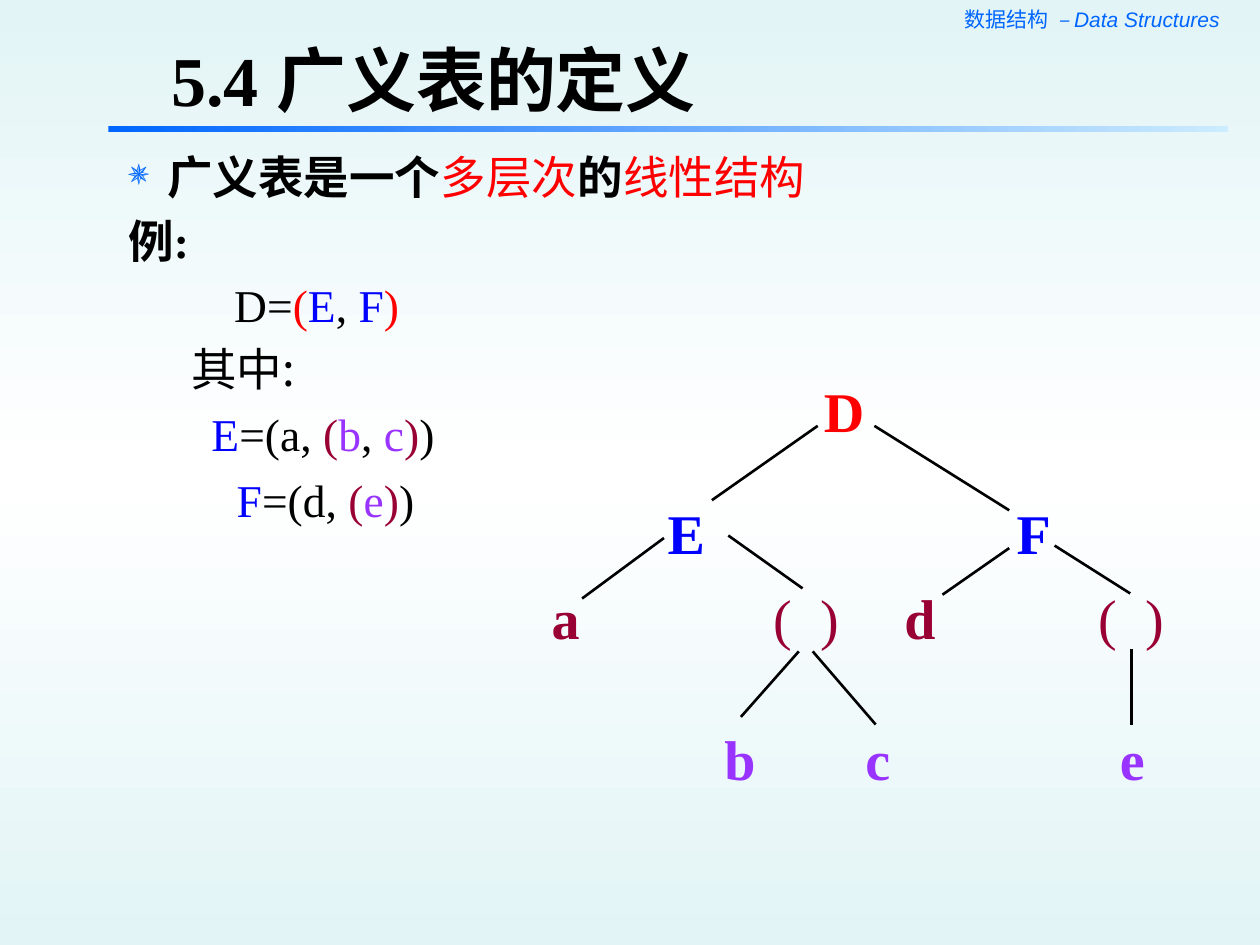
import pptx
import pptx.util
import pptx.dml.color
import pptx.enum.shapes
import pptx.enum.text
import pptx.oxml.ns
import copy
from lxml import etree

RGB = pptx.dml.color.RGBColor
BLACK = RGB(0x00, 0x00, 0x00)
RED = RGB(0xFF, 0x00, 0x00)
BLUE = RGB(0x00, 0x00, 0xFF)
MAROON = RGB(0x99, 0x00, 0x33)
VIOLET = RGB(0x99, 0x33, 0xFF)
ACCENT = RGB(0x00, 0x66, 0xFF)
PALE_BLUE = RGB(0xCC, 0xEC, 0xFF)
MINT = RGB(0xE2, 0xF4, 0xF6)
WHITE = RGB(0xFF, 0xFF, 0xFF)

SERIF, SANS, CJK = "Times New Roman", "Arial", "Noto Sans CJK SC"
LEFT, RIGHT = pptx.enum.text.PP_ALIGN.LEFT, pptx.enum.text.PP_ALIGN.RIGHT
TOP, MIDDLE = pptx.enum.text.MSO_ANCHOR.TOP, pptx.enum.text.MSO_ANCHOR.MIDDLE
qn = pptx.oxml.ns.qn


def add_text(p, text, size=26, color=BLACK, font=SERIF, bold=False, italic=False):
    r = p.add_run()
    r.text = text
    f = r.font
    f.size, f.name, f.bold, f.italic = pptx.util.Pt(size), font, bold, italic
    f.color.rgb = color
    ea = etree.SubElement(r._r.get_or_add_rPr(), qn("a:ea"))
    ea.set("typeface", CJK)


class Deck:
    """Current slide and style, on a grid of 100 columns by 75 rows."""

    def __init__(self):
        self.prs = pptx.Presentation()
        self.prs.slide_width = pptx.util.Inches(10)
        self.prs.slide_height = pptx.util.Inches(7.5)
        self.cell = self.prs.slide_width / 100
        self.s = self.prs.slides.add_slide(self.prs.slide_layouts[5])

    def grid(self, *units):
        return [round(u * self.cell) for u in units]

    def gradient(self, fill, colors, angle):
        fill.gradient()
        fill.gradient_angle = angle
        stops = fill.gradient_stops
        if len(colors) == 3:
            first = stops[0]._gs
            first.addnext(copy.deepcopy(first))
            stops = fill.gradient_stops
        for i, (stop, color) in enumerate(zip(stops, colors)):
            stop.color.rgb = color
            stop.position = i / (len(colors) - 1)

    def frame(self, tf, wrap=True, anchor=TOP):
        tf.word_wrap, tf.vertical_anchor = wrap, anchor
        tf.margin_left, tf.margin_right, tf.margin_top, tf.margin_bottom = self.grid(1, 1, 0.5, 0.5)
        return tf

    def title(self, text, *box):
        sp = self.s.shapes.title
        sp.left, sp.top, sp.width, sp.height = self.grid(*box)
        p = self.frame(sp.text_frame, anchor=MIDDLE).paragraphs[0]
        p.alignment = LEFT
        add_text(p, text, size=40, bold=True)

    def box(self, *box, wrap=True):
        return self.frame(self.s.shapes.add_textbox(*self.grid(*box)).text_frame, wrap)

    def paragraph(self, p, runs, indent, spacing, bullet=None):
        pPr = p._p.get_or_add_pPr()
        margin, hang = self.grid(indent, 3.1 if bullet else 0)
        pPr.set("marL", str(margin))
        pPr.set("indent", str(-hang))
        if bullet:
            color = etree.SubElement(pPr, qn("a:buClr"))
            etree.SubElement(color, qn("a:srgbClr")).set("val", str(ACCENT))
            etree.SubElement(pPr, qn("a:buSzPct")).set("val", "80000")
            etree.SubElement(pPr, qn("a:buChar")).set("char", bullet)
        p.line_spacing = pptx.util.Pt(spacing)
        for text, fmt in runs:
            add_text(p, text, **fmt)

    def bar(self, colors, *box):
        sp = self.s.shapes.add_shape(pptx.enum.shapes.MSO_SHAPE.RECTANGLE, *self.grid(*box))
        sp.shadow.inherit = False
        sp.line.fill.background()
        self.gradient(sp.fill, colors, 0)

    def line(self, *ends):
        c = self.s.shapes.add_connector(pptx.enum.shapes.MSO_CONNECTOR.STRAIGHT, *self.grid(*ends))
        c.line.color.rgb, c.line.width = BLACK, pptx.util.Pt(1.5)
        etree.SubElement(c._element.spPr, qn("a:effectLst"))


def colored(*pairs):
    return [(text, {"color": color}) for text, color in pairs]


def main():
    d = Deck()
    d.gradient(d.s.background.fill, [MINT, WHITE, MINT], 90)

    # Header, rule and title
    p = d.box(60, 0, 37.8, 3).paragraphs[0]
    p.alignment = RIGHT
    add_text(p, "数据结构 ", size=12, color=ACCENT)
    add_text(p, " – Data Structures", size=12, color=ACCENT, font=SANS, italic=True)
    d.bar([ACCENT, PALE_BLUE], 8.6, 10, 88.9, 0.5)
    d.title("5.4 广义表的定义", 12.6, 2.9, 82.4, 6.7)

    # Definition and example: runs, indent, line spacing, bullet
    strong, red = {"bold": True}, {"color": RED}
    body = [
        ([("广义表是一个", strong), ("多层次", red), ("的", strong), ("线性结构", red)], 8.1, 36.5, "✵"),
        ([("例:", strong)], 5, 36.5),
        (colored(("D=", BLACK), ("(", RED), ("E", BLUE), (", ", BLACK), ("F", BLUE), (")", RED)),
         13.4, 36.5),
        ([("其中:", {"font": CJK})], 10, 36.5),
        (colored(("E", BLUE), ("=(a, ", BLACK), ("(", MAROON), ("b", VIOLET), (", ", BLACK),
                 ("c", VIOLET), (")", MAROON), (")", BLACK)), 11.6, 37.5),
        (colored(("F", BLUE), ("=(d,", BLACK), (" (", MAROON), ("e", VIOLET), (")", MAROON),
                 (")", BLACK)), 13.6, 37.5),
    ]
    tf = d.box(4.2, 10.6, 92.5, 60)
    for i, args in enumerate(body):
        d.paragraph(tf.add_paragraph() if i else tf.paragraphs[0], *args)

    # Tree nodes by level: row, then text, column, width, colour
    levels = [
        (29.4, [("D", 64.4, 5.2, RED)]),
        (39.1, [("E", 52, 4.9, BLUE), ("F", 79.7, 4.7, BLUE)]),
        (45.8, [("a", 42.8, 4.2, MAROON), ("(  )", 60.4, 7.2, MAROON),
                ("d", 70.8, 4.5, MAROON), ("(  )", 86.2, 7.2, MAROON)]),
        (57, [("b", 56.5, 4.5, VIOLET), ("c", 67.7, 4, VIOLET), ("e", 87.9, 4, VIOLET)]),
    ]
    for row, nodes in levels:
        for text, col, width, color in nodes:
            p = d.box(col, row, width, 6.4, wrap=False).paragraphs[0]
            add_text(p, text, size=32, color=color, bold=text.isalpha())

    # Tree branches
    for ends in [
        (64.9, 33.8, 56.5, 39.7), (69.4, 33.8, 80.1, 40.5),
        (52.7, 42.7, 46.2, 47.5), (57.8, 42.5, 63.7, 46.7),
        (80.1, 43.5, 74.8, 47.2), (83.7, 43.3, 89.7, 47.1),
        (63.4, 51.7, 58.8, 56.9), (64.5, 51.7, 69.5, 57.5),
        (89.8, 51.5, 89.8, 57.5),
    ]:
        d.line(*ends)

    d.prs.save("out.pptx")


if __name__ == "__main__":
    main()
